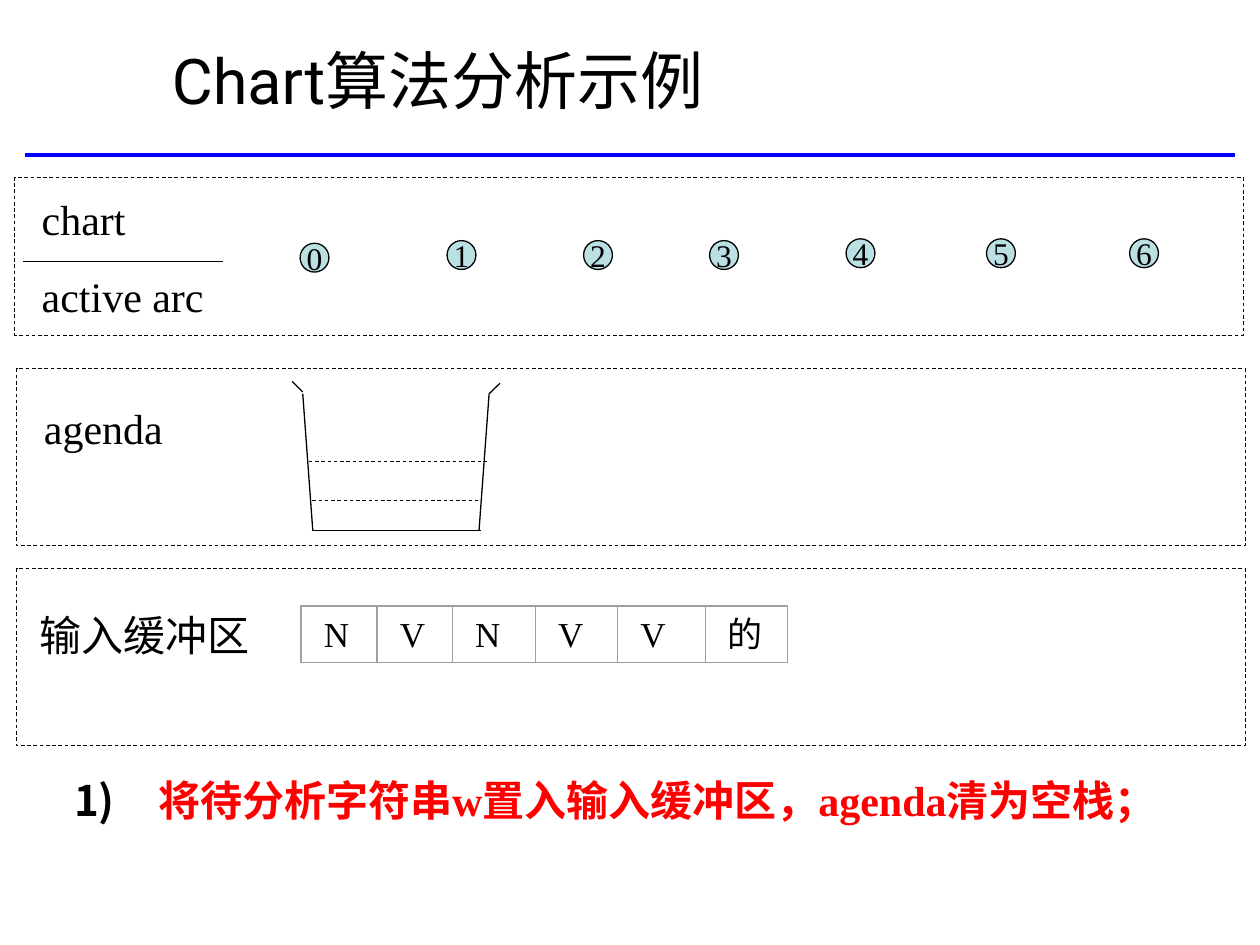
from lxml import etree
from pptx import Presentation
from pptx.dml.color import RGBColor
from pptx.enum.dml import MSO_LINE
from pptx.enum.shapes import MSO_CONNECTOR, MSO_SHAPE
from pptx.enum.text import MSO_ANCHOR as Anchor, MSO_AUTO_SIZE as AutoSize, PP_ALIGN as Align
from pptx.oxml.ns import qn
from pptx.util import Pt

COLORS = {
    "ink": "000000",
    "rule": "0000FF",
    "node": "BBE0E3",
    "cell": "A0A0A0",
    "step": "FF0000",
}
SANS, SERIF = "Roboto", "Times New Roman"


def rgb(name):
    return RGBColor.from_string(COLORS[name])


class SlideBuilder:
    """Holds the current slide and draws styled elements on it, in points."""

    def __init__(self, page):
        self.page = page

    def format_text(self, frame, size, font=SERIF, color="ink", bold=False,
                    align=Align.LEFT, before=0):
        for para in frame.paragraphs:
            para.alignment = align
            para.space_before = Pt(before)
            for span in para.runs:
                span.font.size = Pt(size)
                span.font.name = font
                span.font.bold = bold
                span.font.color.rgb = rgb(color)

    def title(self, text, left, top, width, height):
        box = self.page.shapes.title
        box.left, box.top, box.width, box.height = map(Pt, (left, top, width, height))
        frame = box.text_frame
        frame.text = text
        frame.auto_size = AutoSize.NONE
        frame.vertical_anchor = Anchor.BOTTOM
        self.format_text(frame, 36, SANS)

    def label(self, text, left, top, width, height, font=SERIF, before=15,
              wrap=True, **style):
        box = self.page.shapes.add_textbox(*map(Pt, (left, top, width, height)))
        frame = box.text_frame
        frame.text = text
        frame.word_wrap = wrap
        frame.auto_size = AutoSize.SHAPE_TO_FIT_TEXT
        self.format_text(frame, 24, font, before=before, **style)
        return frame

    def numbered_step(self, text, left, top, width, height):
        frame = self.label(text, left, top, width, height, before=0,
                           wrap=False, color="step", bold=True)
        props = frame.paragraphs[0]._p.get_or_add_pPr()
        props.set("marL", str(Pt(48)))
        props.set("indent", str(-Pt(48)))
        color = etree.SubElement(props, qn("a:buClr"))
        etree.SubElement(color, qn("a:srgbClr"), val=COLORS["ink"])
        etree.SubElement(props, qn("a:buFont"), typeface=SANS)
        etree.SubElement(props, qn("a:buAutoNum"), type="arabicParenR")

    def outline(self, left, top, width, height, kind=MSO_SHAPE.RECTANGLE,
                color="ink", weight=0.75, fill=None, dashed=False):
        shape = self.page.shapes.add_shape(kind, *map(Pt, (left, top, width, height)))
        shape.shadow.inherit = False
        if fill:
            shape.fill.solid()
            shape.fill.fore_color.rgb = rgb(fill)
        else:
            shape.fill.background()
        shape.line.color.rgb = rgb(color)
        shape.line.width = Pt(weight)
        if dashed:
            shape.line.dash_style = MSO_LINE.DASH
        return shape

    def panel(self, left, top, width, height):
        self.outline(left, top, width, height, weight=0.5, dashed=True)

    def node(self, text, left, top, size):
        shape = self.outline(left, top, size, size, MSO_SHAPE.OVAL, fill="node")
        frame = shape.text_frame
        frame.text = text
        frame.word_wrap = False
        frame.vertical_anchor = Anchor.MIDDLE
        self.format_text(frame, 18, align=Align.CENTER)

    def cell(self, text, left, top, width, height):
        frame = self.outline(left, top, width, height, color="cell", weight=0).text_frame
        frame.text = text
        frame.margin_left = Pt(13)
        frame.vertical_anchor = Anchor.TOP
        self.format_text(frame, 20, align=Align.JUSTIFY)

    def line(self, x1, y1, x2, y2, color="ink", weight=0.75, dashed=False):
        connector = self.page.shapes.add_connector(
            MSO_CONNECTOR.STRAIGHT, *map(Pt, (x1, y1, x2, y2)))
        connector.line.color.rgb = rgb(color)
        connector.line.width = Pt(weight)
        if dashed:
            connector.line.dash_style = MSO_LINE.DASH
        etree.SubElement(connector._element.spPr, qn("a:effectLst"))


def draw_chart_row(builder):
    node_places = [(171.5, 139), (255.5, 137.5), (333.5, 137.5), (405.5, 137.5),
                   (483.5, 136.5), (563.75, 136.5), (645.5, 136.5)]
    for number, (left, top) in enumerate(node_places):
        builder.node(str(number), left, top, 16.5)
    builder.label("chart\nactive arc", 16.75, 107.25, 115, 80)
    builder.line(13.25, 149.25, 127.25, 149.25)


def draw_input_buffer(builder):
    left, top, height = 172, 346.25, 32.5
    words = ["N", "V", "N", "V", "V", "的"]
    widths = [43.5, 43, 47.5, 47, 50, 47]
    for index, (word, width) in enumerate(zip(words, widths)):
        builder.cell(word, left + sum(widths[:index]), top, width, height)
    builder.outline(left, top, sum(widths), height, color="cell")
    builder.label("输入缓冲区", 15.5, 345, 144, 36, SANS)


def draw_agenda_stack(builder):
    builder.line(178.5, 303, 275, 303)
    builder.line(173, 225, 178.75, 303)
    builder.line(279.5, 225, 273.75, 303)
    builder.line(167, 218, 173, 224)
    builder.line(285.75, 219, 279.5, 225)
    builder.label("agenda", 18, 226.25, 90, 36)
    builder.line(178.5, 286.25, 275, 286.25, weight=0.5, dashed=True)
    builder.line(176.5, 263.5, 279, 263.5, weight=0.5, dashed=True)


def main():
    deck = Presentation()
    deck.slide_width, deck.slide_height = Pt(720), Pt(540)
    title_only = deck.slide_layouts[5]
    builder = SlideBuilder(deck.slides.add_slide(title_only))

    builder.line(14.25, 88.5, 705.75, 88.5, color="rule", weight=2.25)
    builder.title("Chart算法分析示例", 91, 10, 613.5, 60.5)
    draw_chart_row(builder)
    draw_input_buffer(builder)
    draw_agenda_stack(builder)
    for left, top, height in [(8.5, 101.5, 90), (9.5, 210.75, 101), (9.5, 325, 101)]:
        builder.panel(left, top, 702, height)
    builder.numbered_step("将待分析字符串w置入输入缓冲区，agenda清为空栈；", 35.25, 439, 656, 36)
    deck.save("out.pptx")


if __name__ == "__main__":
    main()
